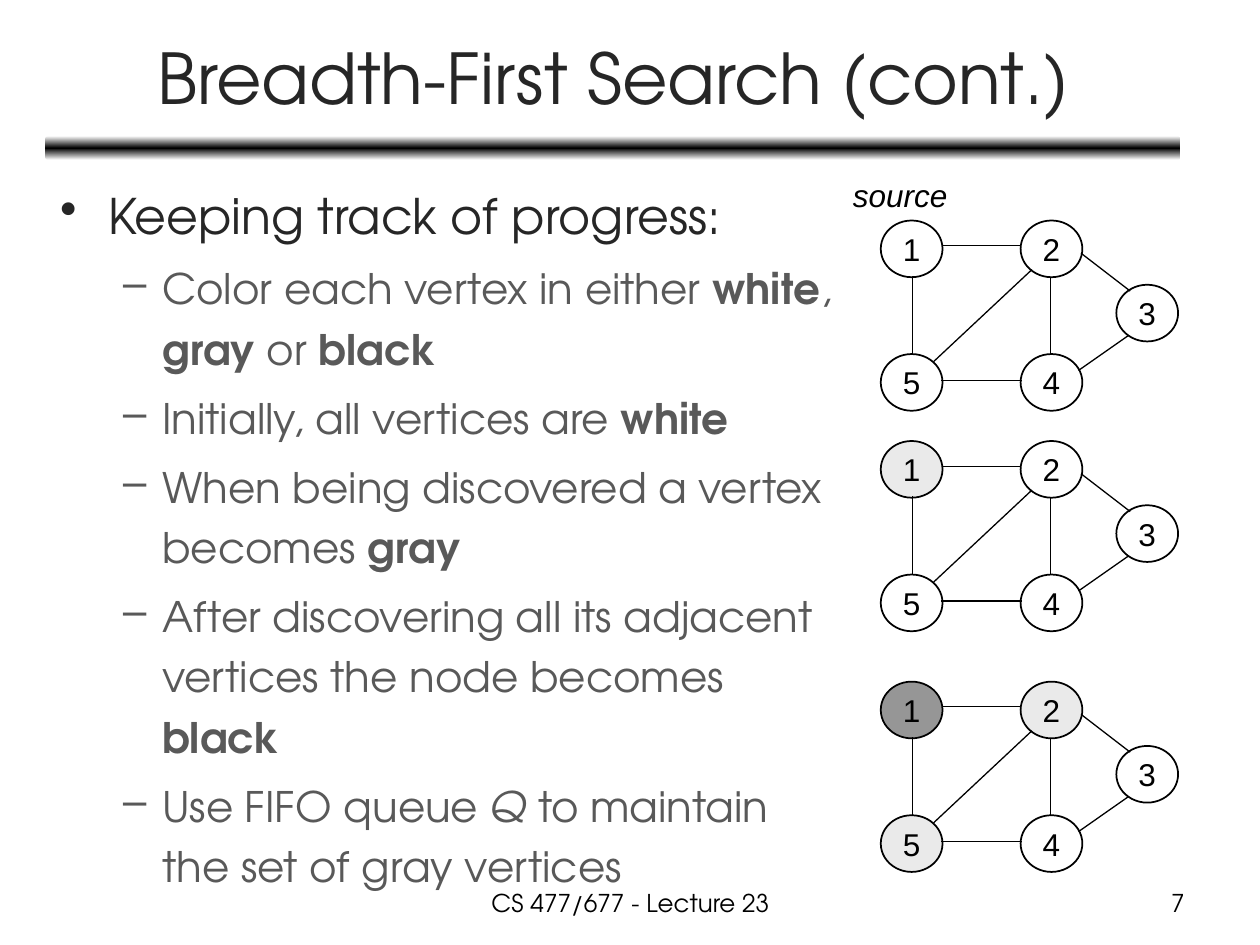
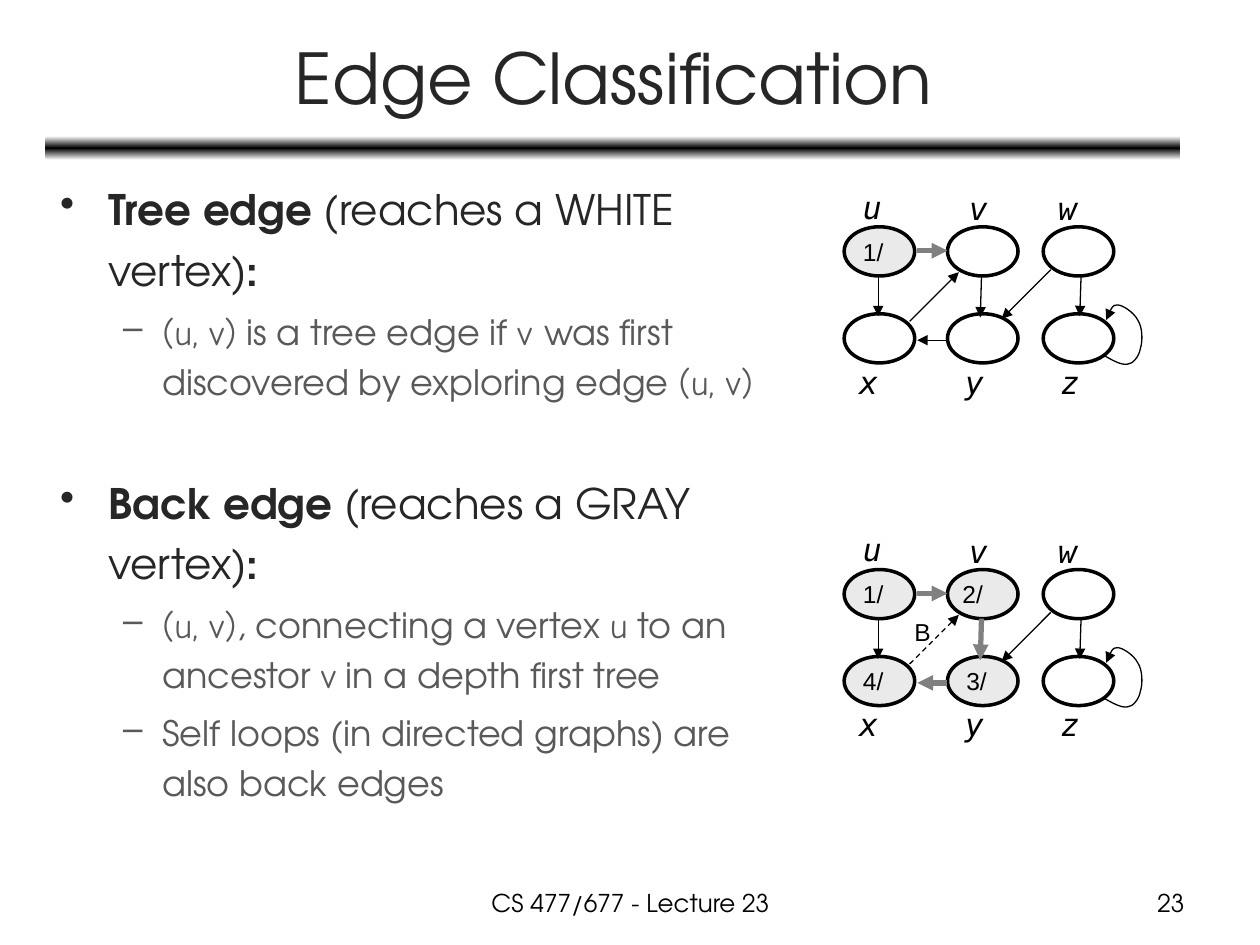
import copy
import dataclasses

import lxml.etree
import pptx
import pptx.dml.color
import pptx.enum.dml
import pptx.enum.shapes
import pptx.enum.text
import pptx.oxml.ns
import pptx.util

PX = pptx.util.Inches(1) // 100
qn = pptx.oxml.ns.qn
ALIGN = pptx.enum.text.PP_ALIGN
MIDDLE = pptx.enum.text.MSO_ANCHOR.MIDDLE
SHAPES = pptx.enum.shapes.MSO_SHAPE


@dataclasses.dataclass(frozen=True)
class Theme:
    white: str = "FFFFFF"
    black: str = "000000"
    title: str = "262626"
    detail: str = "595959"
    discovered: str = "EAEAEA"
    finished: str = "969696"
    tree_edge: str = "808080"
    main_font: str = "TeX Gyre Adventor"
    node_font: str = "Arial"
    math_font: str = "Comic Neue"
    label_font: str = "DejaVu Sans Mono"
    title_size: int = 40
    node_size: int = 18
    small_size: int = 14
    thin: float = 0.75
    thick: float = 3


def rgb(color):
    return pptx.dml.color.RGBColor.from_string(color)


class Page:
    def __init__(self, deck, theme, title, number):
        self.theme = theme
        self.slide = deck.slides.add_slide(deck.slide_layouts[6])
        self.band(36, 108, 901, 19)
        self.text(37, 11, 900, 99, title, theme.title_size, color=theme.title,
                  align=ALIGN.CENTER, anchor=MIDDLE)
        self.text(342, 700, 317, 35, "CS 477/677 - Lecture 23", theme.small_size, align=ALIGN.CENTER)
        self.text(717, 700, 233, 35, str(number), theme.small_size, align=ALIGN.RIGHT)

    def style(self, span, size, color=None, font=None, bold=False, italic=False):
        span.font.size = pptx.util.Pt(size)
        span.font.name = font or self.theme.main_font
        span.font.color.rgb = rgb(color or self.theme.black)
        span.font.bold = bold
        span.font.italic = italic

    def preset(self, kind, left, top, width, height):
        shape = self.slide.shapes.add_shape(kind, left * PX, top * PX, width * PX, height * PX)
        shape.shadow.inherit = False
        return shape

    def band(self, left, top, width, height):
        shape = self.preset(SHAPES.ROUNDED_RECTANGLE, left, top, width, height)
        shape.line.fill.background()
        shape.fill.gradient()
        shape.fill.gradient_angle = 90
        stop_list = shape._element.find(".//" + qn("a:gsLst"))
        stop_list.append(copy.deepcopy(stop_list[0]))
        colors = (self.theme.white, self.theme.black, self.theme.white)
        for index, stop in enumerate(shape.fill.gradient_stops):
            stop.position = index / 2
            stop.color.rgb = rgb(colors[index])

    def text(self, left, top, width, height, words, size, color=None, font=None,
             italic=False, align=ALIGN.LEFT, anchor=None):
        box = self.slide.shapes.add_textbox(left * PX, top * PX, width * PX, height * PX)
        frame = box.text_frame
        frame.word_wrap = True
        frame.vertical_anchor = anchor
        frame.text = words
        frame.paragraphs[0].alignment = align
        self.style(frame.paragraphs[0].runs[0], size, color, font, italic=italic)
        return box

    def label(self, left, top, width, height, words, size, font, italic=True):
        box = self.text(left, top, width, height, words, size, font=font, italic=italic)
        box.text_frame.word_wrap = False
        box.text_frame.auto_size = pptx.enum.text.MSO_AUTO_SIZE.SHAPE_TO_FIT_TEXT

    def bullets(self, left, top, width, height, items, sizes):
        levels = (("•", 38, -38, self.theme.title), ("–", 81, -31, self.theme.detail))
        box = self.slide.shapes.add_textbox(left * PX, top * PX, width * PX, height * PX)
        frame = box.text_frame
        frame.word_wrap = True
        for index, (level, gap, spans) in enumerate(items):
            para = frame.add_paragraph() if index else frame.paragraphs[0]
            mark, margin, indent, color = levels[level]
            properties = para._p.get_or_add_pPr()
            properties.set("marL", str(margin * PX))
            properties.set("indent", str(indent * PX))
            lxml.etree.SubElement(properties, qn("a:buChar"), char=mark)
            para.level = level
            para.line_spacing = 1.2
            if index:
                para.space_before = pptx.util.Pt(gap or sizes[level] * 0.2)
            for words, look in spans:
                span = para.add_run()
                span.text = words
                font = self.theme.math_font if look == "math" else None
                self.style(span, sizes[level], color, font, look == "bold", look == "italic")

    def node(self, left, top, width, height, words, size, weight, fill=None, shift=0):
        shape = self.preset(SHAPES.OVAL, left, top, width, height)
        if fill:
            shape.fill.solid()
            shape.fill.fore_color.rgb = rgb(fill)
        else:
            shape.fill.background()
        shape.line.color.rgb = rgb(self.theme.black)
        shape.line.width = pptx.util.Pt(weight)
        if words:
            frame = shape.text_frame
            frame.margin_left = frame.margin_top = frame.margin_bottom = 0
            frame.margin_right = 2 * shift * PX
            frame.word_wrap = False
            frame.vertical_anchor = MIDDLE
            frame.text = words
            frame.paragraphs[0].alignment = ALIGN.CENTER
            self.style(frame.paragraphs[0].runs[0], size, font=self.theme.node_font)

    def stroke(self, shape, color, weight, dashed=False, arrow=False):
        shape.line.color.rgb = rgb(color)
        shape.line.width = pptx.util.Pt(weight)
        if dashed:
            shape.line.dash_style = pptx.enum.dml.MSO_LINE.DASH
        if arrow:
            line = shape._element.spPr.find(qn("a:ln"))
            lxml.etree.SubElement(line, qn("a:tailEnd"), type="triangle")

    def edge(self, left, top, ends, tree=False, dashed=False, arrow=False):
        x1, y1, x2, y2 = ends
        line = self.slide.shapes.add_connector(
            pptx.enum.shapes.MSO_CONNECTOR.STRAIGHT,
            (left + x1) * PX, (top + y1) * PX, (left + x2) * PX, (top + y2) * PX)
        color = self.theme.tree_edge if tree else self.theme.black
        self.stroke(line, color, self.theme.thick if tree else self.theme.thin, dashed, arrow)
        lxml.etree.SubElement(line._element.spPr, qn("a:effectLst"))

    def loop(self, left, top, points):
        start, *controls = [(left + x, top + y) for x, y in points]
        builder = self.slide.shapes.build_freeform(*start, scale=PX)
        builder.add_line_segments(controls, close=False)
        shape = builder.convert_to_shape()
        shape.shadow.inherit = False
        shape.fill.background()
        outline = shape._element.find(".//" + qn("a:path"))
        corners = outline.findall(qn("a:lnTo"))
        for first in range(0, len(corners), 3):
            curve = lxml.etree.SubElement(outline, qn("a:cubicBezTo"))
            for corner in corners[first:first + 3]:
                curve.append(corner[0])
                outline.remove(corner)
        self.stroke(shape, self.theme.black, self.theme.thin, arrow=True)


SEARCH_NODES = {"1": (0, 0), "2": (111, 0), "5": (0, 106), "4": (111, 106), "3": (187, 51)}
SEARCH_EDGES = (
    (49, 20, 111, 20), (135, 45, 135, 106), (25, 106, 25, 44), (120, 39, 42, 112),
    (48, 127, 112, 127), (159, 26, 198, 56), (157, 119, 197, 91),
)
DIRECTED_NODES = {"u": (0, 0), "v": (82, 0), "w": (158, 0),
                  "x": (0, 69), "y": (82, 69), "z": (158, 69)}
DIRECTED_LABELS = {"u": (5, -36, 32), "v": (89, -35, 31), "w": (160, -35, 37),
                   "x": (2, 103, 31), "y": (86, 103, 30), "z": (162, 103, 31)}
DIRECTED_EDGES = {
    "ux": (27, 39, 27, 71), "vy": (109, 39, 108, 72), "wz": (188, 39, 187, 71),
    "uv": (58, 19, 82, 19), "yx": (82, 90, 58, 90), "wy": (164, 34, 125, 73),
    "xv": (52, 75, 91, 36),
}
SELF_LOOP = (
    (206, 102), (213, 106), (220, 110), (225, 109), (229, 109), (234, 103), (235, 97),
    (237, 91), (237, 80), (233, 74), (230, 68), (221, 62), (217, 62), (213, 62), (210, 68), (208, 74),
)


def search_graph(page, top, fills):
    left = 699
    for name, (x, y) in SEARCH_NODES.items():
        page.node(left + x, top + y, 49, 45, name, page.theme.node_size, 1, fills.get(name))
    for ends in SEARCH_EDGES:
        page.edge(left, top, ends)


def directed_graph(page, top, times, tree, back=()):
    left, theme = 670, page.theme
    for name, (x, y) in DIRECTED_NODES.items():
        words, shift = times.get(name, ("", 0))
        page.node(left + x, top + y, 56, 39, words, theme.small_size, 2,
                  theme.discovered if words else None, shift)
    for name, (x, y, width) in DIRECTED_LABELS.items():
        page.label(left + x, top + y, width, 40, name, theme.node_size, theme.label_font)
    for name, ends in DIRECTED_EDGES.items():
        page.edge(left, top, ends, name in tree, name in back, arrow=True)
    page.loop(left, top, SELF_LOOP)


def search_slide(deck, theme):
    page = Page(deck, theme, "Breadth-First Search (cont.)", 7)
    page.bullets(38, 133, 640, 555, [
        (0, None, [("Keeping track of progress:", "")]),
        (1, None, [("Color each vertex in either ", ""), ("white", "bold"), (", ", ""),
                   ("gray", "bold"), (" or ", ""), ("black", "bold")]),
        (1, None, [("Initially, all vertices are ", ""), ("white", "bold")]),
        (1, None, [("When being discovered a vertex becomes ", ""), ("gray", "bold")]),
        (1, None, [("After discovering all its adjacent vertices the node becomes ", ""),
                   ("black", "bold")]),
        (1, None, [("Use FIFO queue ", ""), ("Q ", "italic"),
                   ("to maintain the set of gray vertices", "")]),
    ], (28, 24))
    page.label(667, 135, 95, 40, "source", theme.node_size, theme.node_font)
    search_graph(page, 175, {})
    search_graph(page, 350, {"1": theme.discovered})
    search_graph(page, 541, {"1": theme.finished, "2": theme.discovered, "5": theme.discovered})


def edge_slide(deck, theme):
    page = Page(deck, theme, "Edge Classification", 23)
    page.bullets(38, 133, 580, 586, [
        (0, None, [("Tree edge ", "bold"), ("(reaches a WHITE vertex)", ""), (":", "bold")]),
        (1, None, [("(u, v)", "math"), (" is a tree edge if ", ""), ("v ", "math"),
                   ("was first discovered by exploring edge ", ""), ("(u, v)", "math")]),
        (0, 37, [("Back edge ", "bold"), ("(reaches a GRAY vertex)", ""), (":", "bold")]),
        (1, None, [("(u, v)", "math"), (", connecting a vertex ", ""), ("u", "math"),
                   (" to an ancestor ", ""), ("v", "math"), (" in a depth first tree", "")]),
        (1, None, [("Self loops (in directed graphs) are also back edges", "")]),
    ], (24, 20))
    directed_graph(page, 180, {"u": ("1/", 5)}, {"uv"})
    directed_graph(page, 452, {"u": ("1/", 5), "v": ("2/", 8), "x": ("4/", 5), "y": ("3/", 5)},
                   {"uv", "vy", "yx"}, {"xv"})
    page.label(716, 485, 33, 33, "B", theme.small_size, theme.node_font, italic=False)


def main():
    deck = pptx.Presentation()
    deck.slide_width, deck.slide_height = 1000 * PX, 750 * PX
    theme = Theme()
    search_slide(deck, theme)
    edge_slide(deck, theme)
    deck.save("out.pptx")


if __name__ == "__main__":
    main()
